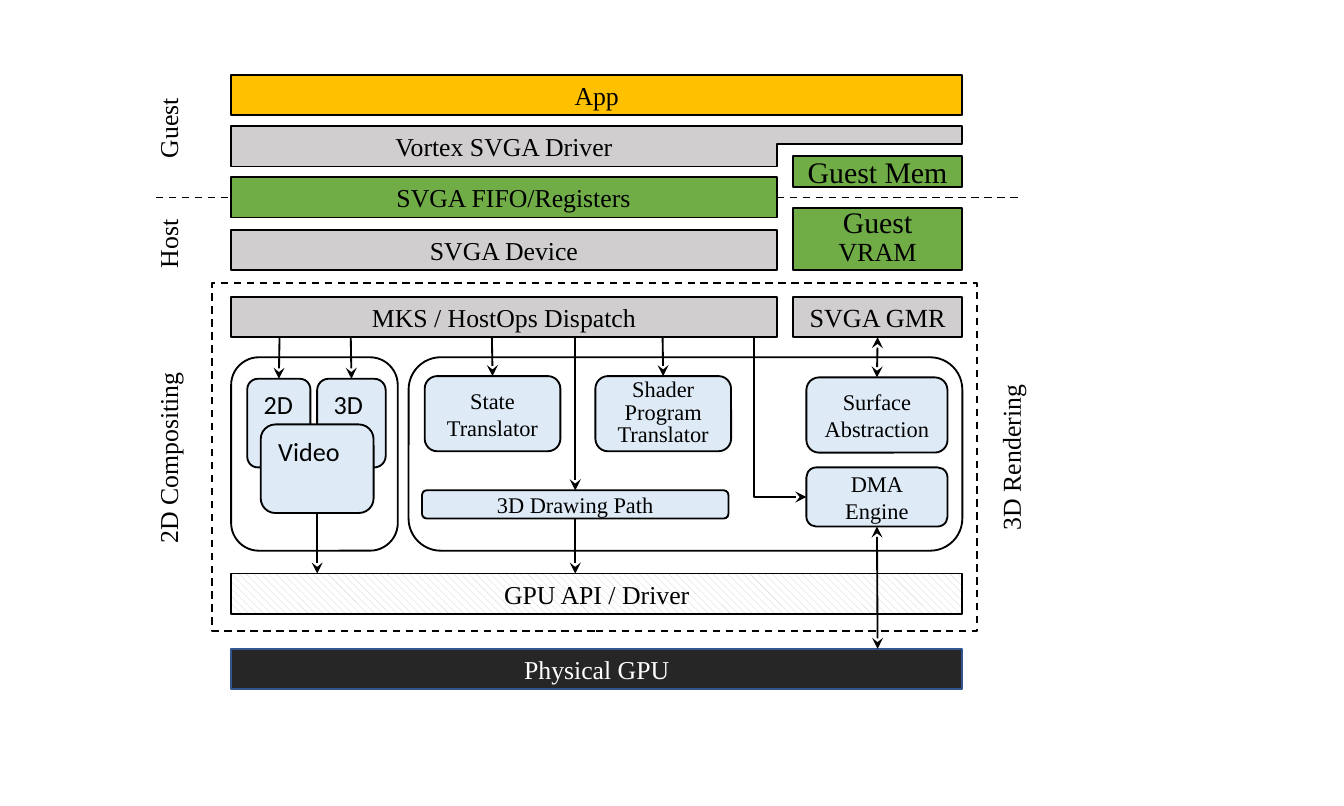
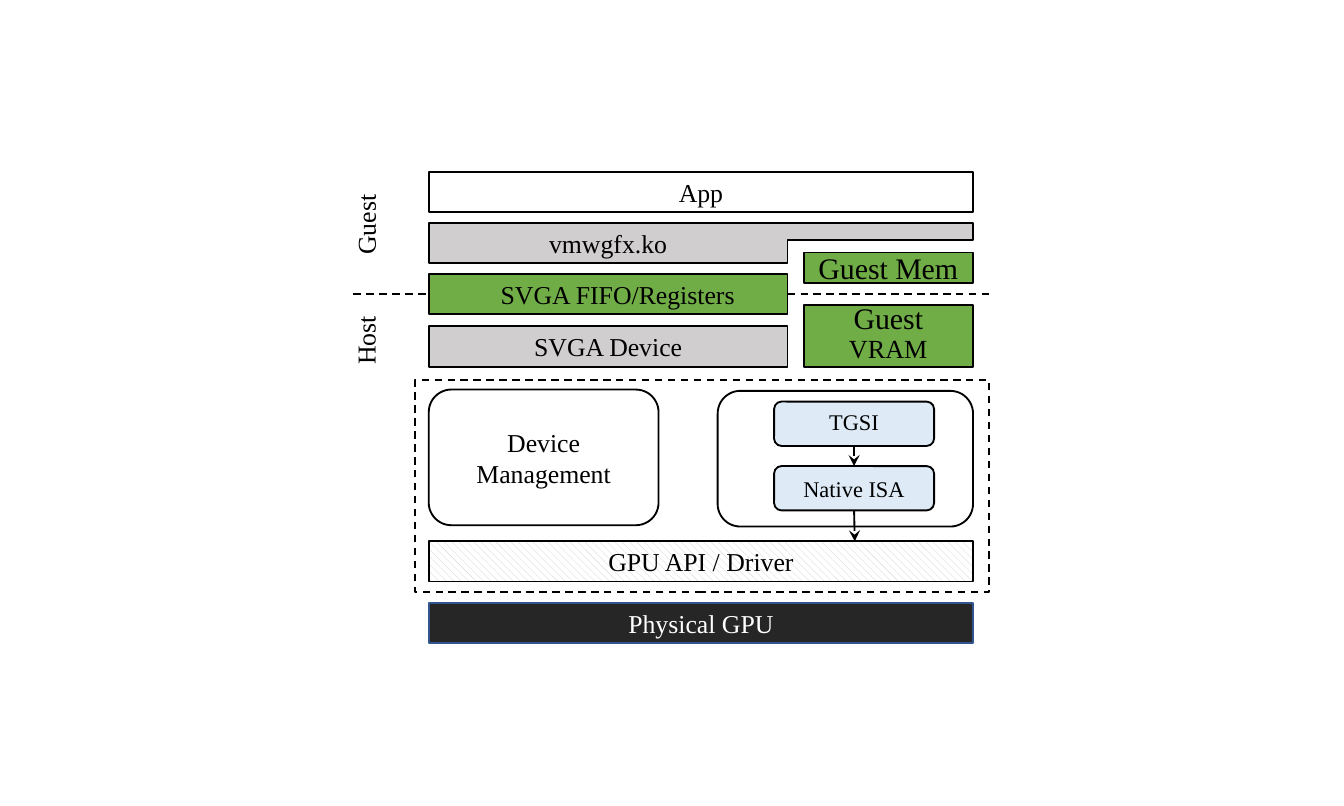
from dataclasses import dataclass

from lxml.etree import SubElement
from pptx import Presentation
from pptx.dml.color import RGBColor
from pptx.enum.dml import MSO_LINE, MSO_PATTERN
from pptx.enum.shapes import MSO_CONNECTOR as Link, MSO_SHAPE as Shape
from pptx.enum.text import MSO_ANCHOR as Anchor, MSO_AUTO_SIZE as AutoSize, PP_ALIGN as Align
from pptx.oxml.ns import qn
from pptx.util import Inches, Pt

TOP, LEFT, BOTTOM, RIGHT = range(4)


@dataclass(frozen=True)
class Theme:
    black: str = "000000"
    white: str = "FFFFFF"
    app: str = "FFC000"
    layer: str = "D0CECE"
    memory: str = "70AD47"
    module: str = "DEEBF7"
    gpu: str = "262626"
    gpu_edge: str = "325491"
    serif: str = "Times New Roman"
    sans: str = "Calibri"
    body: float = 13.8
    small: float = 12
    medium: float = 14
    large: float = 16
    stroke: float = 1


class Diagram:
    """Draws layered architecture diagrams in one shared style."""

    row = 0.3
    memory_width = 1.26
    gutter = 0.12

    def __init__(self, theme):
        self.theme = theme
        self.deck = Presentation()
        self.deck.slide_width, self.deck.slide_height = Inches(10), Inches(6)

    def new_slide(self):
        self.shapes = self.deck.slides.add_slide(self.deck.slide_layouts[6]).shapes

    def style_run(self, run, size, color=None, font=None):
        run.font.size = Pt(size)
        run.font.name = font or self.theme.serif
        run.font.color.rgb = RGBColor.from_string(color or self.theme.black)

    def set_text(self, shape, text, size=None, color=None, font=None, align=Align.CENTER, spacing=None):
        paragraph = shape.text_frame.paragraphs[0]
        paragraph.text = text
        paragraph.alignment = align
        if spacing:
            paragraph.line_spacing = Pt(spacing)
        for run in paragraph.runs:
            self.style_run(run, size or self.theme.body, color, font)

    def stroke(self, line, color=None, dashed=False):
        line.color.rgb = RGBColor.from_string(color or self.theme.black)
        line.width = Pt(self.theme.stroke)
        if dashed:
            line.dash_style = MSO_LINE.DASH

    def paint(self, shape, fill=None, edge=None, dashed=False):
        shape.shadow.inherit = False
        if fill:
            shape.fill.solid()
            shape.fill.fore_color.rgb = RGBColor.from_string(fill)
        else:
            shape.fill.background()
        self.stroke(shape.line, edge, dashed)

    def box(self, place, fill=None, text="", kind=Shape.RECTANGLE, edge=None, dashed=False, **style):
        shape = self.shapes.add_shape(kind, *map(Inches, place))
        self.paint(shape, fill, edge, dashed)
        shape.text_frame.vertical_anchor = Anchor.MIDDLE
        if text:
            self.set_text(shape, text, **style)
        return shape

    def group(self, place, text=""):
        return self.box(place, self.theme.white, text, Shape.ROUNDED_RECTANGLE)

    def module(self, place, text, **style):
        style.setdefault("size", self.theme.small)
        return self.box(place, self.theme.module, text, Shape.ROUNDED_RECTANGLE, **style)

    def card(self, place, text):
        shape = self.module(place, text, size=self.theme.medium, font=self.theme.sans, align=Align.LEFT)
        shape.text_frame.vertical_anchor = Anchor.TOP
        return shape

    def label(self, text, center_x, center_y, length):
        height = 0.33
        place = center_x - length / 2, center_y - height / 2, length, height
        shape = self.shapes.add_textbox(*map(Inches, place))
        shape.rotation = 270
        shape.text_frame.word_wrap = False
        shape.text_frame.auto_size = AutoSize.SHAPE_TO_FIT_TEXT
        self.set_text(shape, text, align=Align.LEFT)

    def link(self, start, end, begin=None, finish=None, heads=(), dashed=False, kind=Link.STRAIGHT):
        line = self.shapes.add_connector(kind, *map(Inches, (*start, *end)))
        self.stroke(line.line, dashed=dashed)
        if begin:
            line.begin_connect(*begin)
        if finish:
            line.end_connect(*finish)
        properties = line._element.spPr
        if kind == Link.ELBOW:
            properties.find(qn("a:prstGeom")).set("prst", "bentConnector2")
        outline = properties.find(qn("a:ln"))
        for head in heads:
            SubElement(outline, qn(f"a:{head}End"), type="stealth")
        SubElement(properties, qn("a:effectLst"))

    def arrow(self, x, top, bottom, begin=None, finish=None, both=False):
        heads = ("head", "tail") if both else ("tail",)
        self.link((x, top), (x, bottom), begin, finish, heads)

    def driver(self, left, top, body, width, text):
        arm = 0.13
        corners = [(width, 0), (width, arm), (body, arm), (body, self.row), (0, self.row)]
        outline = self.shapes.build_freeform(Inches(left), Inches(top))
        outline.add_line_segments([(Inches(left + x), Inches(top + y)) for x, y in corners])
        shape = outline.convert_to_shape()
        self.paint(shape, self.theme.layer)
        shape.text_frame.vertical_anchor = Anchor.MIDDLE
        shape.text_frame.margin_right = Inches(width - body + 0.1)
        self.set_text(shape, text)

    def guest_host(self, left, top, width, driver, app_fill, boundary_end):
        theme, row = self.theme, self.row
        body = width - self.memory_width - self.gutter
        memory_left = left + body + self.gutter
        self.box((left, top, width, row), app_fill, "App")
        self.driver(left, top + 0.38, body, width, driver)
        fifo = self.box((left, top + 0.76, body, row), theme.memory, "SVGA FIFO/Registers")
        fifo.text_frame.margin_left = Inches(0.24)
        self.box((left, top + 1.15, body, row), theme.layer, "SVGA Device")
        self.box((memory_left, top + 0.6, self.memory_width, 0.23), theme.memory, "Guest Mem", size=theme.large)
        vram = self.box((memory_left, top + 0.99, self.memory_width, 0.46), theme.memory,
                        "Guest ", size=theme.large, spacing=15)
        vram_run = vram.text_frame.paragraphs[0].add_run()
        vram_run.text = "VRAM"
        self.style_run(vram_run, theme.medium)
        boundary = top + 0.91
        self.link((left - 0.56, boundary), (left, boundary), finish=(fifo, LEFT), dashed=True)
        self.link((left + body, boundary), (boundary_end, boundary), begin=(fifo, RIGHT), dashed=True)
        self.label("Guest", left - 0.47, top + 0.39, 0.65)
        self.label("Host", left - 0.47, top + 1.25, 0.57)

    def gpu_layers(self, left, width, api_top, gpu_top):
        theme = self.theme
        api = self.box((left, api_top, width, self.row), theme.white, "GPU API / Driver")
        api.fill.patterned()
        api.fill.pattern = MSO_PATTERN.WIDE_DOWNWARD_DIAGONAL
        api.fill.fore_color.rgb = RGBColor.from_string(theme.layer)
        api.fill.back_color.rgb = RGBColor.from_string(theme.white)
        self.box((left, gpu_top, width, self.row), theme.gpu, "Physical GPU",
                 edge=theme.gpu_edge, color=theme.white)

    def host_slide(self):
        self.new_slide()
        theme, left, width, api_top, gpu_top = self.theme, 1.72, 5.44, 4.27, 4.83
        dispatch_top = 2.21
        dispatch_end = dispatch_top + self.row
        self.guest_host(left, 0.56, width, "Vortex SVGA Driver", theme.app, 7.59)
        self.gpu_layers(left, width, api_top, gpu_top)
        self.box((1.58, 2.11, 5.69, 2.59), dashed=True)
        self.box((left, dispatch_top, 4.06, self.row), theme.layer, "MKS / HostOps Dispatch")
        gmr = self.box((5.9, dispatch_top, self.memory_width, self.row), theme.layer, "SVGA GMR", size=theme.medium)

        self.group((3.04, 2.66, 4.12, 1.44))
        surface = self.module((6, 2.81, 1.05, 0.56), "Surface\nAbstraction")
        dma = self.module((6, 3.48, 1.05, 0.44), "DMA\nEngine")
        state = self.module((3.16, 2.8, 1.01, 0.56), "State\nTranslator")
        shader = self.module((4.43, 2.8, 1.01, 0.56), "Shader Program Translator", spacing=12)
        drawing = self.module((3.14, 3.65, 2.28, 0.21), "3D Drawing Path")

        self.group((left, 2.66, 1.24, 1.44))
        plane_2d = self.card((1.84, 2.82, 0.47, 0.66), "2D")
        plane_3d = self.card((2.36, 2.82, 0.51, 0.66), "3D")
        video = self.card((1.94, 3.16, 0.84, 0.66), "Video")

        for x, bottom, target in ((2.08, 2.82, plane_2d), (2.61, 2.82, plane_3d), (3.66, 2.8, state),
                                  (4.93, 2.8, shader), (4.28, 3.65, drawing)):
            self.arrow(x, dispatch_end, bottom, finish=(target, TOP))
        for x, top, maker in ((2.36, 3.82, video), (4.28, 3.86, drawing)):
            self.arrow(x, top, api_top, begin=(maker, BOTTOM))
        self.arrow(6.53, dispatch_end, 2.81, (gmr, BOTTOM), (surface, TOP), both=True)
        self.arrow(6.53, 3.92, gpu_top, begin=(dma, BOTTOM), both=True)
        self.link((6, 3.7), (5.61, dispatch_end), begin=(dma, LEFT), heads=("head",), kind=Link.ELBOW)
        self.label("2D Compositing", left - 0.47, 3.4, 1.49)
        self.label("3D Rendering", 7.52, 3.4, 1.29)

    def linux_slide(self):
        self.new_slide()
        left, width, api_top = 3.19, 4.05, 4.03
        self.guest_host(left, 1.28, width, "vmwgfx.ko", None, 7.36)
        self.gpu_layers(left, width, api_top, 4.49)
        self.box((3.09, 2.83, 4.27, 1.58), dashed=True)
        self.group((left, 2.9, 1.71, 1.01), "Device Management")
        self.group((5.34, 2.91, 1.9, 1.01))
        tgsi = self.module((5.76, 2.99, 1.19, 0.33), "TGSI", spacing=12)
        native = self.module((5.76, 3.47, 1.19, 0.33), "Native ISA")
        self.arrow(6.36, 3.32, 3.47, (tgsi, BOTTOM), (native, TOP))
        self.arrow(6.36, 3.8, api_top, begin=(native, BOTTOM))


def main():
    diagram = Diagram(Theme())
    diagram.host_slide()
    diagram.linux_slide()
    diagram.deck.save("out.pptx")


if __name__ == "__main__":
    main()
